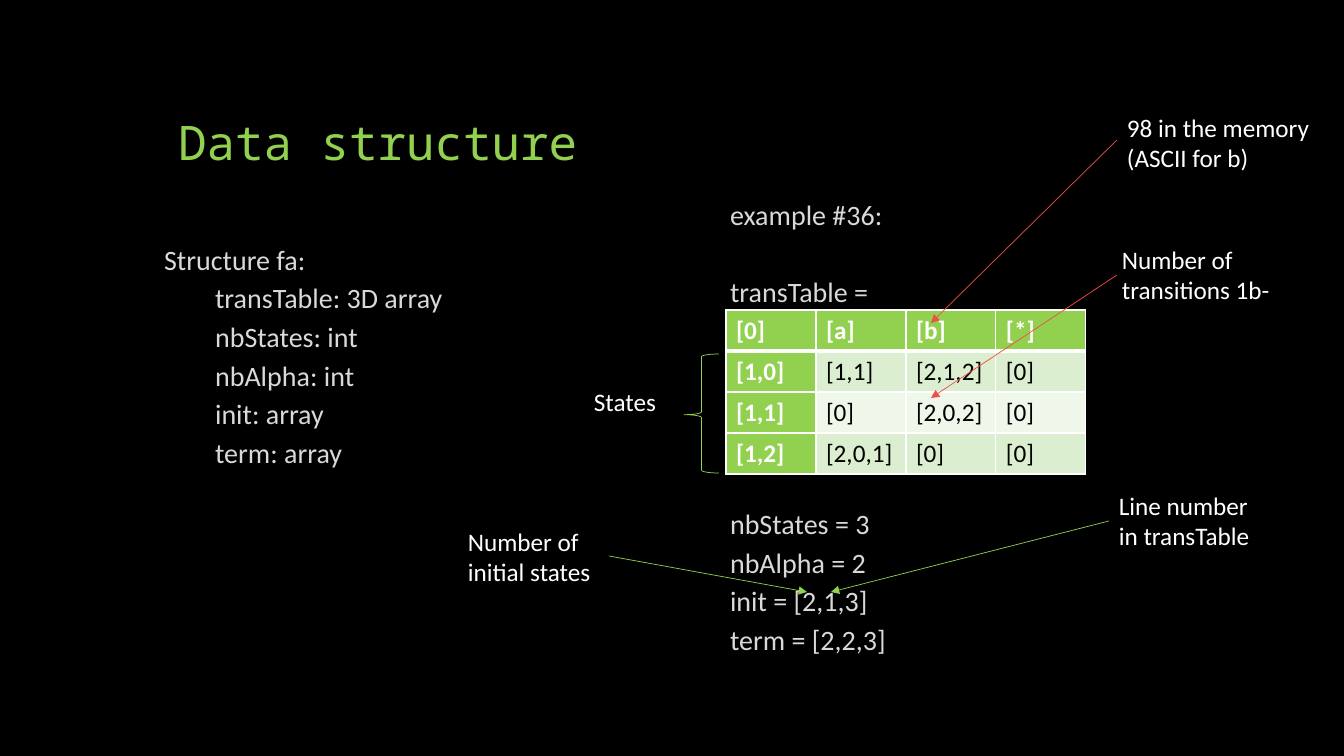
from lxml import etree
from pptx import Presentation
from pptx.dml.color import RGBColor
from pptx.enum.shapes import MSO_CONNECTOR, MSO_SHAPE
from pptx.enum.text import MSO_ANCHOR, MSO_AUTO_SIZE, PP_ALIGN
from pptx.oxml.ns import qn
from pptx.util import Pt

LINE = MSO_CONNECTOR.STRAIGHT
BRACE = MSO_SHAPE.LEFT_BRACE
BOTTOM, TOP = MSO_ANCHOR.BOTTOM, MSO_ANCHOR.TOP
LEFT = PP_ALIGN.LEFT
FIXED = MSO_AUTO_SIZE.NONE

BLACK = RGBColor(0, 0, 0)
WHITE = RGBColor(255, 255, 255)
GREY = RGBColor(0xD9, 0xD9, 0xD9)
GREEN = RGBColor(0x92, 0xD0, 0x50)
RED = RGBColor(0xF3, 0x4D, 0x47)
BANDS = [RGBColor(0xDC, 0xEE, 0xD0), RGBColor(0xEE, 0xF7, 0xE9)]

SANS, MONO = "Calibri", "Noto Sans Mono"
SCALE = 914400 / 100.8  # EMU in one px
STEP = 27.6  # points from one body line to the next
GAP = 6

# Content: body lines are (text, indent in px, empty lines above)
TITLE = "Data structure"
FIELDS = [
    ("Structure fa:", 0, 0),
    ("transTable: 3D array", 51, 0),
    ("nbStates: int", 51, 0),
    ("nbAlpha: int", 51, 0),
    ("init: array", 51, 0),
    ("term: array", 51, 0),
]
SAMPLE = [
    ("example #36:", 0, 0),
    ("transTable =", 0, 1),
    ("nbStates = 3", 0, 5),
    ("nbAlpha = 2", 0, 0),
    ("init = [2,1,3]", 0, 0),
    ("term = [2,2,3]", 0, 0),
]
ROWS = [
    ["[0]", "[a]", "[b]", "[*]"],
    ["[1,0]", "[1,1]", "[2,1,2]", "[0]"],
    ["[1,1]", "[0]", "[2,0,2]", "[0]"],
    ["[1,2]", "[2,0,1]", "[0]", "[0]"],
]
TABLE = (726, 310)
COL, ROW = 90, 41
NOTES = [  # text, left, top, width, height
    ("98 in the memory\n(ASCII for b)", 1117, 107, 216, 72),
    ("Number of\ntransitions 1b-", 1112, 239, 176, 72),
    ("Line number in transTable", 1109, 485, 162, 72),
    ("Number of\ninitial states", 458, 521, 156, 72),
    ("States", 584, 381, 94, 40),
]
ARROWS = [  # start, end, colour
    ((1109, 521), (831, 592), GREEN),
    ((609, 556), (807, 592), GREEN),
    ((1117, 275), (931, 398), RED),
    ((1117, 140), (931, 323), RED),
]


def px(*vals):
    return [round(v * SCALE) for v in vals]


def style(para, size, color, font=SANS, bold=False):
    for run in para.runs:
        run.font.size = Pt(size)
        run.font.name = font
        run.font.bold = bold
        run.font.color.rgb = color


def place(shape, *box):
    shape.left, shape.top, shape.width, shape.height = px(*box)
    shape.text_frame.auto_size = FIXED


def fill_body(shape, lines):
    frame = shape.text_frame
    frame.vertical_anchor = TOP
    frame.text = "\n".join(text for text, _, _ in lines)
    for para, (_, indent, skip) in zip(frame.paragraphs, lines):
        para.line_spacing = 0.9
        para.space_before = Pt(GAP + skip * STEP)
        para.space_after = Pt(0)
        props = para._p.get_or_add_pPr()
        props.set("marL", str(px(indent)[0]))
        props.set("indent", "0")
        etree.SubElement(props, qn("a:buNone"))
        style(para, 20, GREY)


def add_edge(props, tag, width):
    edge = etree.SubElement(props, qn(tag), w=str(Pt(width)))
    paint = etree.SubElement(edge, qn("a:solidFill"))
    etree.SubElement(paint, qn("a:srgbClr"), val=str(WHITE))


def add_arrow(shapes, start, end, color):
    arrow = shapes.add_connector(LINE, *px(*start, *end))
    arrow.line.color.rgb = color
    arrow.line.width = Pt(0.5)
    etree.SubElement(arrow.line._get_or_add_ln(), qn("a:tailEnd"), type="triangle")
    etree.SubElement(arrow._element.spPr, qn("a:effectLst"))


def add_grid(shapes):
    count, span = len(ROWS), len(ROWS[0])
    size = px(*TABLE, COL * span, ROW * count)
    grid = shapes.add_table(count, span, *size).table
    for r, row in enumerate(ROWS):
        grid.rows[r].height = px(ROW)[0]
        for c, text in enumerate(row):
            head = r == 0 or c == 0
            cell = grid.cell(r, c)
            cell.text = text
            style(cell.text_frame.paragraphs[0], 18, WHITE if head else BLACK, bold=head)
            props = cell._tc.get_or_add_tcPr()
            add_edge(props, "a:lnL", 1)
            add_edge(props, "a:lnR", 1)
            add_edge(props, "a:lnT", 3 if r == 1 else 1)
            add_edge(props, "a:lnB", 3 if r == 0 else 1)
            cell.fill.solid()
            cell.fill.fore_color.rgb = GREEN if head else BANDS[(r - 1) % 2]


def main():
    deck = Presentation()
    deck.slide_width, deck.slide_height = px(1344, 756)
    slide = deck.slides.add_slide(deck.slide_layouts[3])
    slide.background.fill.solid()
    slide.background.fill.fore_color.rgb = BLACK
    shapes = slide.shapes

    # Title and the two text columns
    title, left, right = slide.placeholders
    place(title, 168, 50, 1008, 126)
    title.text_frame.text = TITLE
    title.text_frame.vertical_anchor = BOTTOM
    para = title.text_frame.paragraphs[0]
    para.alignment = LEFT
    para.line_spacing = 0.9
    style(para, 34, GREEN, MONO)
    place(left, 154, 241, 480, 401)
    fill_body(left, FIELDS)
    place(right, 720, 196, 480, 471)
    fill_body(right, SAMPLE)

    # Transition table and its brace
    add_grid(shapes)
    brace = shapes.add_shape(BRACE, *px(684, 354, 35, 119))
    brace.adjustments[0], brace.adjustments[1] = 0.08, 0.51
    brace.shadow.inherit = False
    brace.fill.background()
    brace.line.color.rgb = GREEN
    brace.line.width = Pt(0.5)

    # Notes and arrows
    for text, *box in NOTES:
        note = shapes.add_textbox(*px(*box))
        note.text_frame.word_wrap = True
        note.text_frame.text = text
        for para in note.text_frame.paragraphs:
            style(para, 18, WHITE)
    for arrow in ARROWS:
        add_arrow(shapes, *arrow)

    deck.save("out.pptx")


if __name__ == "__main__":
    main()
